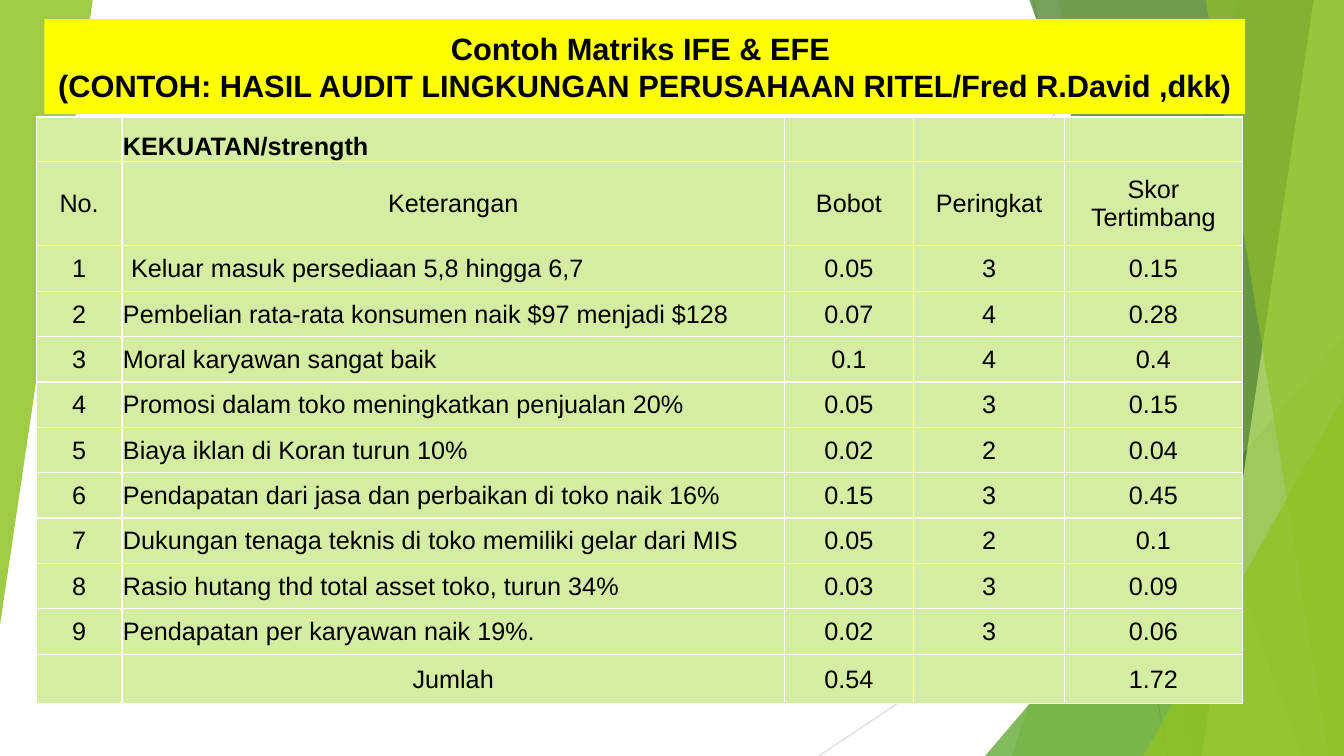
from lxml import etree
from pptx import Presentation
from pptx.dml.color import RGBColor
from pptx.enum.shapes import MSO_CONNECTOR as CONNECTOR, MSO_SHAPE as SHAPE
from pptx.enum.text import MSO_ANCHOR as ANCHOR, MSO_AUTO_SIZE as AUTO_SIZE, PP_ALIGN as ALIGN
from pptx.oxml.ns import qn
from pptx.util import Inches, Pt


def paint(fill, color, opacity=100):
    fill.solid()
    fill.fore_color.rgb = RGBColor.from_string(color)
    if opacity < 100:
        tint = fill._xPr.find(qn("a:solidFill"))[0]
        etree.SubElement(tint, qn("a:alpha"), val=str(opacity * 1000))


def write(para, text, size, bold=False):
    span = para.add_run()
    span.text = text
    span.font.name = "Arial"
    span.font.size = Pt(size)
    span.font.bold = bold
    span.font.color.rgb = RGBColor.from_string("000000")


deck = Presentation()
deck.slide_width, deck.slide_height = Inches(13.33), Inches(7.5)
page = deck.slides.add_slide(deck.slide_layouts[5])
shapes = page.shapes

# Thin background lines
for x1, y1, x2, y2, color in [
    (10.25, 0, 11.58, 7.5, "BFBFBF"),
    (13.33, 4.03, 8.12, 7.5, "D9D9D9"),
]:
    line = shapes.add_connector(CONNECTOR.STRAIGHT, Inches(x1), Inches(y1), Inches(x2), Inches(y2))
    line.line.color.rgb = RGBColor.from_string(color)
    line.line.width = Pt(0.75)
    etree.SubElement(line._element.spPr, qn("a:effectLst"))

# Green facets, back to front: bands run from a top x and a bottom x to the right edge,
# triangles have left, top, width, height and rotation
facets = [
    ("band", (12.28, 10.04), "90C226", 30),
    ("band", (10.5, 11.83), "90C226", 20),
    ("triangle", (9.77, 3.33, 3.56, 4.17, 0), "54A021", 72),
    ("band", (10.21, 12.91), "3F7819", 70),
    ("band", (13.03, 11.92), "C0E474", 70),
    ("band", (11.96, 13.18), "90C226", 65),
    ("triangle", (11.34, 3.93, 1.99, 3.57, 0), "90C226", 80),
    ("triangle", (0, 0, 0.92, 6.2, 180), "90C226", 85),
]
for kind, place, color, opacity in facets:
    if kind == "band":
        top_x, bottom_x = place
        outline = shapes.build_freeform(Inches(top_x), 0)
        corners = [(13.33, 0), (13.33, 7.5), (bottom_x, 7.5)]
        outline.add_line_segments([(Inches(x), Inches(y)) for x, y in corners], close=True)
        facet = outline.convert_to_shape()
    else:
        *frame, turn = place
        facet = shapes.add_shape(SHAPE.ISOSCELES_TRIANGLE, *[Inches(v) for v in frame])
        facet.adjustments[0] = 1
        facet.rotation = turn
    paint(facet.fill, color, opacity)
    facet.line.fill.background()
    facet.shadow.inherit = False

# Title, brought in front of the facets
title = shapes.title
shapes._spTree.append(title._element)
title.left, title.top = Inches(0.44), Inches(0.19)
title.width, title.height = Inches(11.91), Inches(0.94)
paint(title.fill, "FFFF00")
frame = title.text_frame
frame.word_wrap = True
frame.auto_size = AUTO_SIZE.NONE
frame.vertical_anchor = ANCHOR.MIDDLE
para = frame.paragraphs[0]
para.alignment = ALIGN.CENTER
write(para, "Contoh Matriks IFE & EFE ", 22, True)
para.add_line_break()
write(para, "(CONTOH: HASIL AUDIT LINGKUNGAN PERUSAHAAN RITEL/Fred R.David ,dkk)", 22, True)

# Strengths matrix
strengths = [
    ("Keluar masuk persediaan 5,8 hingga 6,7", "0.05", "3", "0.15"),
    ("Pembelian rata-rata konsumen naik $97 menjadi $128", "0.07", "4", "0.28"),
    ("Moral karyawan sangat baik", "0.1", "4", "0.4"),
    ("Promosi dalam toko meningkatkan penjualan 20%", "0.05", "3", "0.15"),
    ("Biaya iklan di Koran turun 10%", "0.02", "2", "0.04"),
    ("Pendapatan dari jasa dan perbaikan di toko naik 16%", "0.15", "3", "0.45"),
    ("Dukungan tenaga teknis di toko memiliki gelar dari MIS", "0.05", "2", "0.1"),
    ("Rasio hutang thd total asset toko, turun 34%", "0.03", "3", "0.09"),
    ("Pendapatan per karyawan naik 19%.", "0.02", "3", "0.06"),
]
rows = [
    ("", "KEKUATAN/strength", "", "", ""),
    ("No.", "Keterangan", "Bobot", "Peringkat", "Skor Tertimbang"),
    *[(str(number), *strength) for number, strength in enumerate(strengths, 1)],
    ("", "Jumlah", "0.54", "", "1.72"),
]
widths = [0.85, 6.57, 1.28, 1.5, 1.76]
heights = [0.44, 0.84] + [0.45] * len(strengths) + [0.49]
table = shapes.add_table(len(rows), len(widths), Inches(0.36), Inches(1.16),
                         Inches(sum(widths)), Inches(sum(heights))).table
table.first_row = table.horz_banding = False
for column, width in zip(table.columns, widths):
    column.width = Inches(width)
for row, height in zip(table.rows, heights):
    row.height = Inches(height)

last = len(rows) - 1
for r, texts in enumerate(rows):
    for c, text in enumerate(texts):
        cell = table.cell(r, c)
        cell.margin_left = Inches(0.09 if (r, c) == (2, 1) else 0.01)
        cell.margin_right = cell.margin_top = Inches(0.01)
        cell.margin_bottom = 0
        cell.vertical_anchor = ANCHOR.BOTTOM if r == 0 else ANCHOR.MIDDLE
        for side in ("a:lnL", "a:lnR", "a:lnT", "a:lnB"):
            border = etree.SubElement(cell._tc.tcPr, qn(side), w=str(Pt(1)))
            ink = etree.SubElement(border, qn("a:solidFill"))
            etree.SubElement(ink, qn("a:srgbClr"), val="FFFFFF")
        paint(cell.fill, "D5EDA2")
        para = cell.text_frame.paragraphs[0]
        para.alignment = ALIGN.LEFT if c == 1 and r not in (1, last) else ALIGN.CENTER
        if text:
            write(para, text, 18, bold=r == 0)

deck.save("out.pptx")
